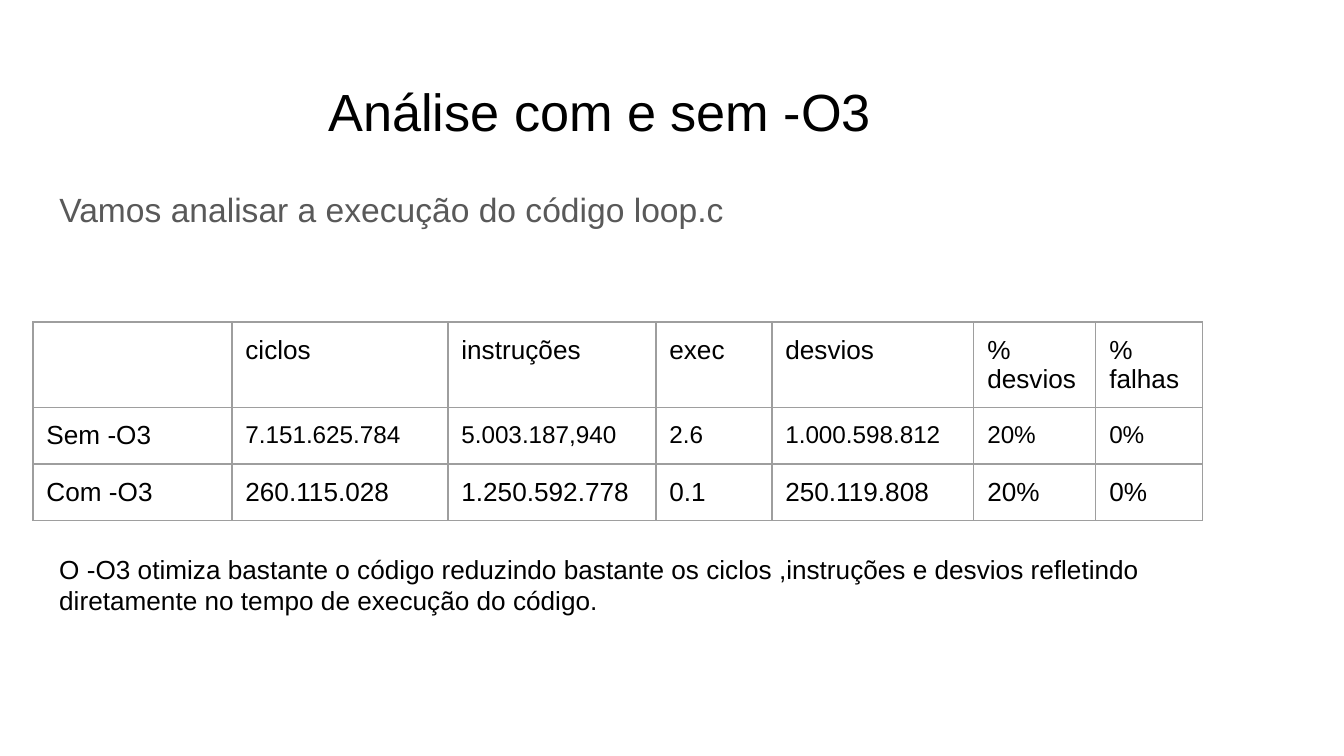
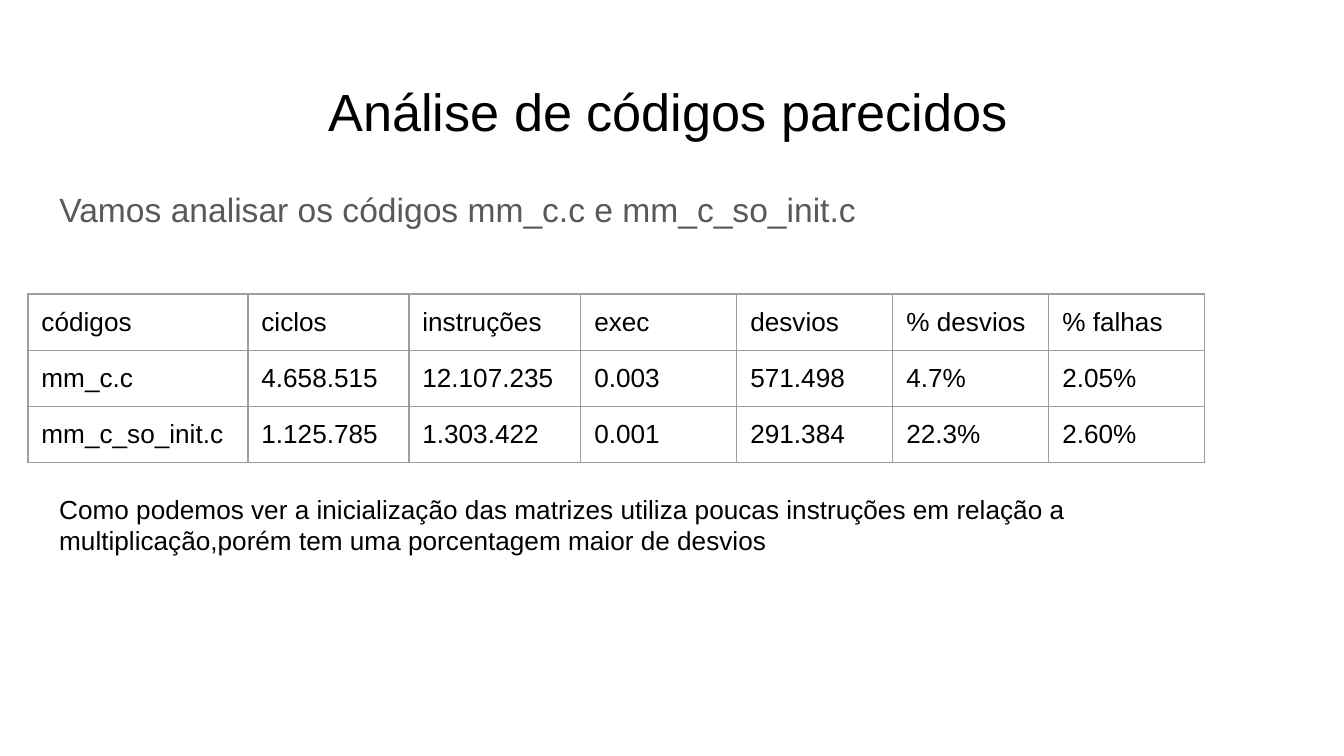
"""Builds two slides that compare execution measurements of C programs."""
from itertools import accumulate
from lxml.etree import SubElement
from pptx import Presentation
from pptx.dml.color import RGBColor
from pptx.enum.text import MSO_ANCHOR as Anchor, MSO_AUTO_SIZE as AutoSize, PP_ALIGN as Align
from pptx.oxml import parse_xml
from pptx.oxml.ns import nsdecls, qn
from pptx.util import Emu, Pt

SCALE = 914400 / 134.4
COLORS = {"text": "000000", "lead": "595959", "border": "9E9E9E"}
FONT = "Arial"
INSET = 13.44
ROW_HEIGHT = 56


def px(length):
    return Emu(round(length * SCALE))


class Deck:
    def __init__(self):
        self.presentation = Presentation()
        self.presentation.slide_width = px(1344)
        self.presentation.slide_height = px(756)
        self.slide = None

    def add_slide(self):
        layout = self.presentation.slide_layouts[1]
        self.slide = self.presentation.slides.add_slide(layout)

    def place(self, shape, left, top, width, height):
        shape.left, shape.top = px(left), px(top)
        shape.width, shape.height = px(width), px(height)

    def style_run(self, paragraph, size, color):
        for run in paragraph.runs:
            run.font.name = FONT
            run.font.size = Pt(size)
            run.font.bold = False
            run.font.color.rgb = RGBColor.from_string(COLORS[color])

    def set_text(self, shape, text, size, color="text"):
        frame = shape.text_frame
        frame.text = text
        frame.word_wrap = True
        frame.auto_size = AutoSize.NONE
        frame.vertical_anchor = Anchor.TOP
        frame.margin_left = frame.margin_right = px(INSET)
        frame.margin_top = frame.margin_bottom = px(INSET)
        paragraph = frame.paragraphs[0]
        paragraph.alignment = Align.LEFT
        paragraph.space_before = Pt(0)
        self.style_run(paragraph, size, color)
        return paragraph

    def indent(self, paragraph, margin, first_line):
        properties = paragraph._p.get_or_add_pPr()
        properties.set("marL", str(px(margin)))
        properties.set("indent", str(px(first_line)))
        return properties

    def title(self, text):
        heading = self.slide.shapes.title
        self.place(heading, 46, 66, 1252, 85)
        self.indent(self.set_text(heading, text, 28), 202, 67)

    def lead(self, text):
        body = self.slide.placeholders[1]
        self.place(body, 46, 169, 1252, 503)
        paragraph = self.set_text(body, text, 18, "lead")
        paragraph.line_spacing = 1.15
        paragraph.space_after = Pt(16)
        SubElement(self.indent(paragraph, 0, 0), qn("a:buNone"))

    def conclusion(self, text, top, width, height):
        box = self.slide.shapes.add_textbox(px(46), px(top), px(width), px(height))
        self.set_text(box, text, 14)

    def cell(self, cell, text, size):
        cell.text = text
        cell.vertical_anchor = Anchor.TOP
        cell.margin_left = cell.margin_right = px(INSET)
        cell.margin_top = cell.margin_bottom = px(INSET)
        self.style_run(cell.text_frame.paragraphs[0], size, "text")
        cell.fill.background()
        properties = cell._tc.get_or_add_tcPr()
        for position, side in enumerate(("lnL", "lnR", "lnT", "lnB")):
            properties.insert(position, parse_xml(
                f'<a:{side} {nsdecls("a")} w="{Pt(0.75)}"><a:solidFill>'
                f'<a:srgbClr val="{COLORS["border"]}"/></a:solidFill></a:{side}>'))

    def table(self, left, top, widths, rows, sizes):
        frame = self.slide.shapes.add_table(
            len(rows), len(widths), px(left), px(top), px(sum(widths)), px(ROW_HEIGHT * len(rows)))
        grid = frame.table
        grid.first_row = grid.horz_banding = False
        edges = [px(edge) for edge in accumulate(widths, initial=0)]
        for column, start, end in zip(grid.columns, edges, edges[1:]):
            column.width = Emu(end - start)
        for row, values, size in zip(grid.rows, rows, sizes):
            row.height = px(ROW_HEIGHT)
            for index, (cell, value) in enumerate(zip(row.cells, values)):
                self.cell(cell, value, size if index else 14)


MEASURES = ["ciclos", "instruções", "exec", "desvios", "% desvios", "% falhas"]

deck = Deck()

deck.add_slide()
deck.title("Análise com e sem -O3")
deck.lead("Vamos analisar a execução do código loop.c")
deck.table(33, 322, [199, 216, 208, 116, 202, 122, 107], [
    ["", *MEASURES],
    ["Sem -O3", "7.151.625.784", "5.003.187,940", "2.6", "1.000.598.812", "20%", "0%"],
    ["Com -O3", "260.115.028", "1.250.592.778", "0.1", "250.119.808", "20%", "0%"],
], [14, 13, 14])
deck.conclusion(
    "O -O3 otimiza bastante o código reduzindo bastante os ciclos ,instruções e desvios "
    "refletindo diretamente no tempo de execução do código.", 540, 1196, 179)

deck.add_slide()
deck.title("Análise de códigos parecidos")
deck.lead("Vamos analisar os códigos mm_c.c e mm_c_so_init.c")
deck.table(28, 294, [220, 161, 172] + [156] * 4, [
    ["códigos", *MEASURES],
    ["mm_c.c", "4.658.515", "12.107.235", "0.003", "571.498", "4.7%", "2.05%"],
    ["mm_c_so_init.c", "1.125.785", "1.303.422", "0.001", "291.384", "22.3%", "2.60%"],
], [14, 14, 14])
deck.conclusion(
    "Como podemos ver a inicialização das matrizes utiliza poucas instruções em relação a "
    "multiplicação,porém tem uma porcentagem maior de desvios", 480, 1184, 169)

deck.presentation.save("out.pptx")
